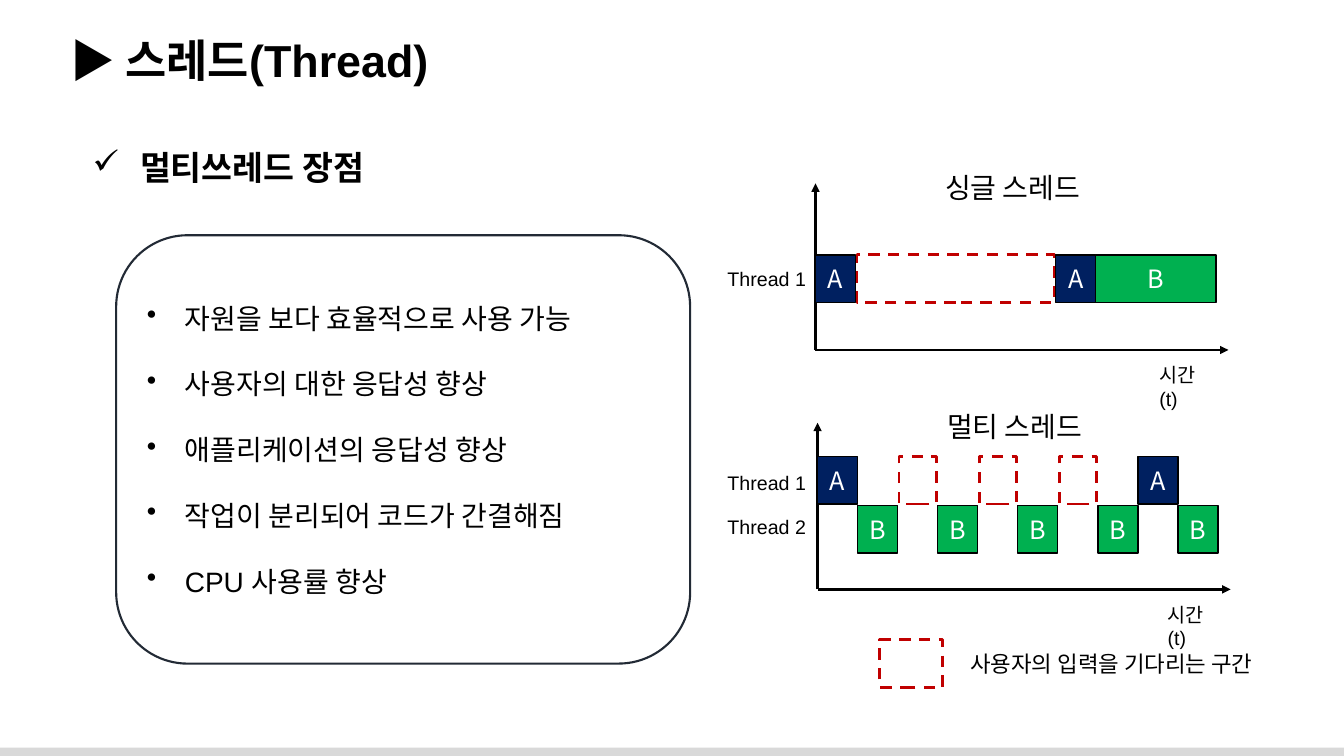
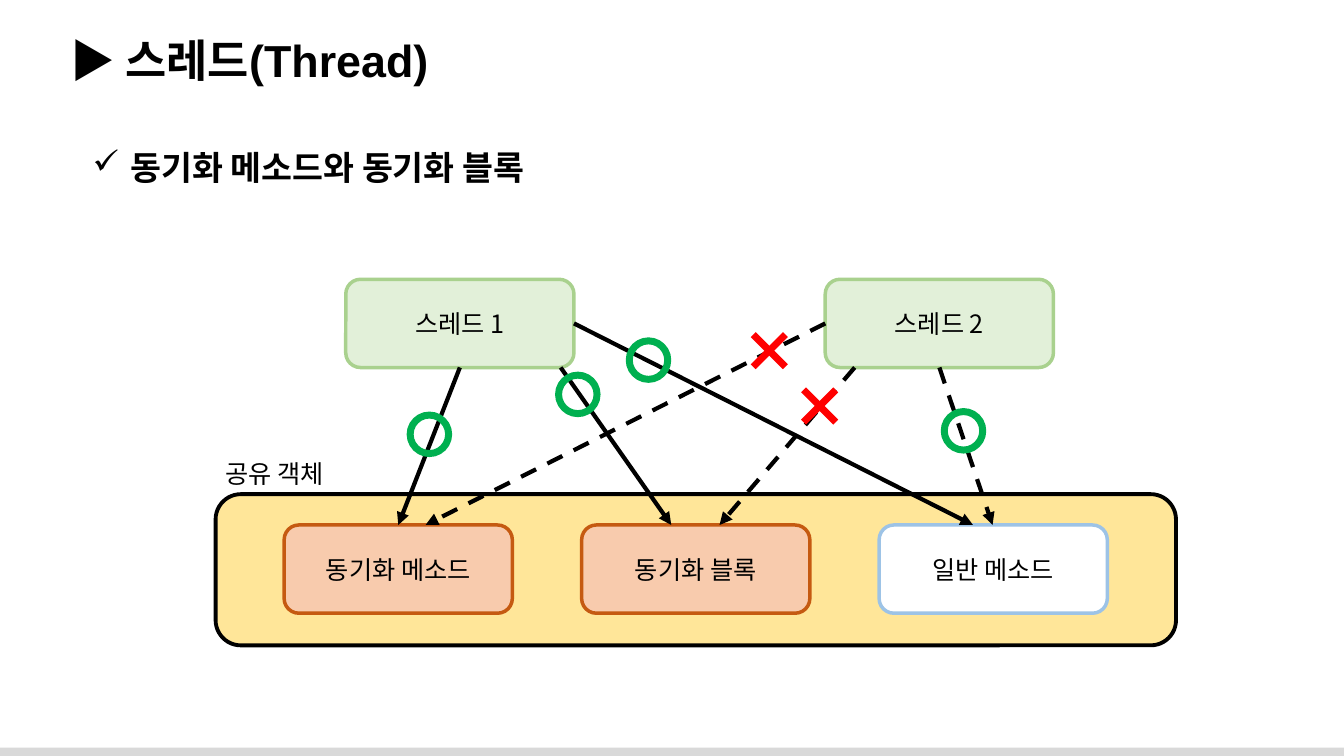
from dataclasses import dataclass

from lxml import etree
from pptx import Presentation
from pptx.dml.color import RGBColor
from pptx.enum.dml import MSO_LINE
from pptx.enum.shapes import MSO_CONNECTOR, MSO_SHAPE
from pptx.enum.text import MSO_ANCHOR, MSO_AUTO_SIZE, PP_ALIGN
from pptx.oxml.ns import qn
from pptx.util import Pt

RECT = MSO_SHAPE.RECTANGLE
ROUND = MSO_SHAPE.ROUNDED_RECTANGLE
OVAL = MSO_SHAPE.OVAL
LEFT = PP_ALIGN.LEFT
CENTER = PP_ALIGN.CENTER
TOP = MSO_ANCHOR.TOP
MIDDLE = MSO_ANCHOR.MIDDLE
FIXED = MSO_AUTO_SIZE.NONE
DASH = MSO_LINE.DASH
STRAIGHT = MSO_CONNECTOR.STRAIGHT


@dataclass
class Theme:
    black: str = "000000"
    white: str = "FFFFFF"
    band: str = "D9D9D9"
    frame: str = "222A35"
    navy: str = "002060"
    green: str = "00B050"
    wait: str = "C00000"
    cross: str = "FF0000"
    pool: str = "FFE699"
    mint: str = "E2F0D9"
    leaf: str = "A9D18E"
    peach: str = "F8CBAD"
    rust: str = "C55A11"
    sky: str = "9DC3E6"
    sans: str = "Arial"
    noto: str = "Noto Sans CJK KR"
    title: int = 32
    head: int = 24
    body: int = 20
    label: int = 18
    note: int = 16
    small: int = 14


theme = Theme()


def box(slide, kind, area, lines=(), size=theme.label, font=theme.sans,
        color=theme.black, align=LEFT, bold=False, mark="", hang=0, gap=0,
        fill=None, edge=None, width=1, dash=None):
    area = [Pt(n) for n in area]
    if kind is None:
        shape = slide.shapes.add_textbox(*area)
    else:
        shape = slide.shapes.add_shape(kind, *area)
        shape.shadow.inherit = False
        if fill:
            shape.fill.solid()
            shape.fill.fore_color.rgb = RGBColor.from_string(fill)
        else:
            shape.fill.background()
        if edge:
            shape.line.color.rgb = RGBColor.from_string(edge)
            shape.line.width = Pt(width)
            shape.line.dash_style = dash
        else:
            shape.line.fill.background()
    frame = shape.text_frame
    frame.word_wrap = True
    frame.vertical_anchor = MIDDLE if kind else TOP
    for i, line in enumerate(lines):
        para = frame.add_paragraph() if i else frame.paragraphs[0]
        para.text = line
        para.alignment = align
        if mark:
            props = para._p.get_or_add_pPr()
            props.set("marL", str(Pt(hang)))
            props.set("indent", str(-Pt(hang)))
            etree.SubElement(props, qn("a:buChar")).set("char", mark)
        if i and gap:
            para.space_before = Pt(gap)
        para.font.name = font
        para.font.size = Pt(size)
        para.font.bold = bold
        para.font.color.rgb = RGBColor.from_string(color)
    return shape


def link(slide, start, end, color=theme.black, width=2, dash=None, arrow=True):
    line = slide.shapes.add_connector(STRAIGHT, *[Pt(n) for n in (*start, *end)])
    line.line.color.rgb = RGBColor.from_string(color)
    line.line.width = Pt(width)
    line.line.dash_style = dash
    props = line._element.spPr
    if arrow:
        etree.SubElement(props.find(qn("a:ln")), qn("a:tailEnd")).set("type", "triangle")
    etree.SubElement(props, qn("a:effectLst"))


deck = Presentation()
deck.slide_width, deck.slide_height = Pt(960), Pt(540)
layout = deck.slide_layouts[5]

pages = []
for head, hang in (("멀티쓰레드 장점", 34), ("동기화 메소드와 동기화 블록", 27)):
    slide = deck.slides.add_slide(layout)
    title = slide.shapes.title
    title.left, title.top, title.width, title.height = Pt(43), Pt(20), Pt(907), Pt(46)
    frame = title.text_frame
    frame.text = "▶ 스레드(Thread)"
    frame.auto_size = FIXED
    frame.word_wrap = True
    frame.vertical_anchor = TOP
    para = frame.paragraphs[0]
    para.alignment = LEFT
    para.font.name = theme.sans
    para.font.size = Pt(theme.title)
    para.font.bold = True
    para.font.color.rgb = RGBColor.from_string(theme.black)
    box(slide, None, (59, 101.5, 400, 36), [head], theme.head, bold=True, mark="✓", hang=hang)
    pages.append(slide)

gains, sync = pages
band = box(gains, RECT, (0, 534, 960, 6), fill=theme.band)
layout.shapes.element.append(band.element)

points = ["자원을 보다 효율적으로 사용 가능", "사용자의 대한 응답성 향상",
          "애플리케이션의 응답성 향상", "작업이 분리되어 코드가 간결해짐", "CPU 사용률 향상"]
box(gains, ROUND, (83, 168, 410, 306), points, theme.body, mark="•", hang=27, gap=23,
    edge=theme.frame, width=1.5)

cell, tall = 28.6, 34
fills = {"A": theme.navy, "B": theme.green}
charts = [
    (582.5, 250, "싱글 스레드", 821,
     [(182, "Thread 1", 187, [("A", 0, 1), ("", 1, 5), ("A", 6, 1), ("B", 7, 3)])]),
    (584, 421, "멀티 스레드", 827,
     [(326, "Thread 1", 333, [("A", 0, 1), ("", 2, 1), ("", 4, 1), ("", 6, 1), ("A", 8, 1)]),
      (361, "Thread 2", 364, [("B", col, 1) for col in range(1, 10, 2)])]),
]
for left, base, name, time, rows in charts:
    link(gains, (left, base), (left, base - 119))
    link(gains, (left, base), (left + 295, base))
    box(gains, None, (time, base + 6, 50, 42), ["시간(t)"], theme.small)
    box(gains, None, (left + 85.5, base - 132, 122, 32), [name], theme.body)
    for top, label, drop, runs in rows:
        box(gains, None, (512.5, drop, 76, 24), [label], theme.small)
        for job, col, span in runs:
            x, wide = left + col * cell, span * cell
            if job:
                box(gains, RECT, (x, top, wide, tall), [job], font=theme.noto,
                    color=theme.white, align=CENTER, fill=fills[job], edge=theme.black)
            else:
                box(gains, RECT, (x + 1, top, wide - 2, tall), edge=theme.wait, width=2, dash=DASH)

box(gains, RECT, (628.5, 457, 45, 34), edge=theme.wait, width=2, dash=DASH)
box(gains, None, (686, 461, 242, 27), ["사용자의 입력을 기다리는 구간"], theme.note)

box(sync, ROUND, (154, 353, 686, 108), fill=theme.pool, edge=theme.black, width=2.75)
box(sync, None, (154, 324, 94, 29), ["공유 객체"])

upper, lower, high = 199.5, 375, 63
nodes = [
    ("스레드 1", 247, upper, theme.mint, theme.leaf),
    ("스레드 2", 589.5, upper, theme.mint, theme.leaf),
    ("동기화 메소드", 203, lower, theme.peach, theme.rust),
    ("동기화 블록", 415.5, lower, theme.peach, theme.rust),
    ("일반 메소드", 628, lower, theme.white, theme.sky),
]
for name, x, y, fill, edge in nodes:
    box(sync, ROUND, (x, y, 163, high), [name], font=theme.noto, align=CENTER,
        fill=fill, edge=edge, width=2.5)

foot, side = upper + high, upper + high / 2
calls = [
    (328.5, foot, 284.5, None), (400.5, foot, 479.5, None), (410, side, 695, None),
    (589.5, side, 304, DASH), (610.5, foot, 514, DASH), (671, foot, 709, DASH),
]
for x, y, end, dash in calls:
    link(sync, (x, y), (end, lower), width=3, dash=dash)

for x, y in ((293, 296.5), (399, 268), (449.5, 243.5), (674.5, 294)):
    box(sync, OVAL, (x, y, 27.5, 27.5), edge=theme.green, width=5)

arm = 23
for x, y in ((538, 239), (574, 278.5)):
    for start, end in (((x, y + arm), (x + arm, y)), ((x + arm, y + arm), (x, y))):
        link(sync, start, end, theme.cross, 5, arrow=False)

deck.save("out.pptx")
